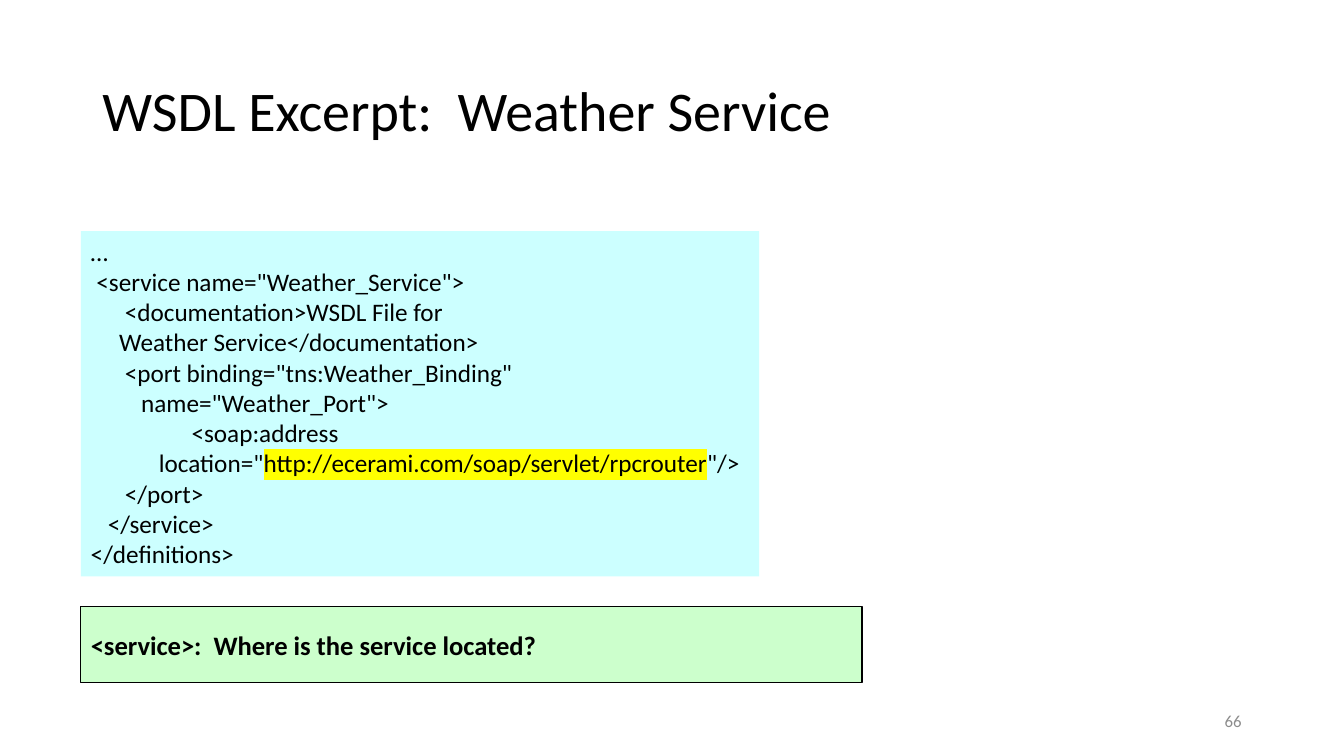
from dataclasses import dataclass

from lxml import etree
from pptx import Presentation
from pptx import util as u
from pptx.dml import color
from pptx.enum import shapes, text
from pptx.oxml import ns

EMU_PER_PX = 9525


@dataclass(frozen=True)
class Theme:
    font: str = "Calibri"
    ink: str = "000000"
    muted: str = "8C8C8C"
    code_fill: str = "CCFFFF"
    callout_fill: str = "CCFFCC"
    highlight: str = "FFFF00"
    title_pt: int = 40
    code_pt: int = 18
    callout_pt: int = 19
    number_pt: int = 12


THEME = Theme()


@dataclass(frozen=True)
class Box:
    left: int
    top: int
    width: int
    height: int

    def emu(self) -> list[u.Emu]:
        return [px(n) for n in (self.left, self.top, self.width, self.height)]


@dataclass(frozen=True)
class Span:
    words: str
    marked: bool = False


@dataclass(frozen=True)
class Style:
    size: int
    ink: str = THEME.ink
    bold: bool = False


@dataclass(frozen=True)
class Panel:
    box: Box
    fill: str
    style: Style
    lines: list[list[Span]]
    anchor: text.MSO_ANCHOR
    fit: text.MSO_AUTO_SIZE
    outlined: bool = False


CODE = [
    [Span('…')],
    [Span(' <service name="Weather_Service">')],
    [Span('      <documentation>WSDL File for')],
    [Span('     Weather Service</documentation>')],
    [Span('      <port binding="tns:Weather_Binding"')],
    [Span('\tname="Weather_Port">')],
    [Span('         \t<soap:address')],
    [Span('            location="'),
     Span('http://ecerami.com/soap/servlet/rpcrouter', marked=True),
     Span('"/>')],
    [Span('      </port>')],
    [Span('   </service>')],
    [Span('</definitions>')],
]

PANELS = [
    Panel(Box(77, 220, 646, 329), THEME.code_fill, Style(THEME.code_pt), CODE,
          text.MSO_ANCHOR.TOP, text.MSO_AUTO_SIZE.SHAPE_TO_FIT_TEXT),
    Panel(Box(77, 578, 744, 72), THEME.callout_fill, Style(THEME.callout_pt, bold=True),
          [[Span("<service>:  Where is the service located?")]],
          text.MSO_ANCHOR.MIDDLE, text.MSO_AUTO_SIZE.NONE, outlined=True),
]


def px(count: int) -> u.Emu:
    return u.Emu(count * EMU_PER_PX)


def rgb(value: str) -> color.RGBColor:
    return color.RGBColor.from_string(value)


def write_lines(frame, lines: list[list[Span]], style: Style,
                align=text.PP_ALIGN.LEFT) -> None:
    for index, spans in enumerate(lines):
        paragraph = frame.add_paragraph() if index else frame.paragraphs[0]
        paragraph.alignment = align
        for span in spans:
            run = paragraph.add_run()
            run.text = span.words
            run.font.name = THEME.font
            run.font.size = u.Pt(style.size)
            run.font.bold = style.bold
            run.font.color.rgb = rgb(style.ink)
            if span.marked:
                mark_run(run)


def mark_run(run) -> None:
    """Put the highlight right after the text fill, as the schema orders it."""
    highlight = etree.Element(ns.qn("a:highlight"))
    etree.SubElement(highlight, ns.qn("a:srgbClr"), val=THEME.highlight)
    run.font._element.find(ns.qn("a:solidFill")).addnext(highlight)


def add_panel(slide, panel: Panel) -> None:
    shape = slide.shapes.add_shape(shapes.MSO_SHAPE.RECTANGLE, *panel.box.emu())
    shape.shadow.inherit = False
    shape.fill.solid()
    shape.fill.fore_color.rgb = rgb(panel.fill)
    if panel.outlined:
        shape.line.color.rgb = rgb(THEME.ink)
        shape.line.width = u.Pt(0.75)
    else:
        shape.line.fill.background()
    frame = shape.text_frame
    frame.word_wrap = False
    frame.auto_size = panel.fit
    frame.vertical_anchor = panel.anchor
    write_lines(frame, panel.lines, panel.style)


def add_title(slide, words: str, box: Box) -> None:
    title = slide.shapes.title
    title.left, title.top, title.width, title.height = box.emu()
    frame = title.text_frame
    frame.auto_size = text.MSO_AUTO_SIZE.NONE
    frame.vertical_anchor = text.MSO_ANCHOR.MIDDLE
    write_lines(frame, [[Span(words)]], Style(THEME.title_pt))
    frame.paragraphs[0].line_spacing = 0.9


def add_page_number(slide, number: str, box: Box) -> None:
    frame = slide.shapes.add_textbox(*box.emu()).text_frame
    frame.word_wrap = True
    frame.vertical_anchor = text.MSO_ANCHOR.MIDDLE
    write_lines(frame, [[Span(number)]], Style(THEME.number_pt, THEME.muted),
                text.PP_ALIGN.RIGHT)


def main() -> None:
    deck = Presentation()
    deck.slide_width, deck.slide_height = px(1280), px(720)
    title_only = deck.slide_layouts[5]
    slide = deck.slides.add_slide(title_only)
    add_title(slide, "WSDL Excerpt:  Weather Service", Box(88, 38, 1104, 139))
    for panel in PANELS:
        add_panel(slide, panel)
    add_page_number(slide, "66", Box(904, 667, 288, 38))
    deck.save("out.pptx")


if __name__ == "__main__":
    main()
